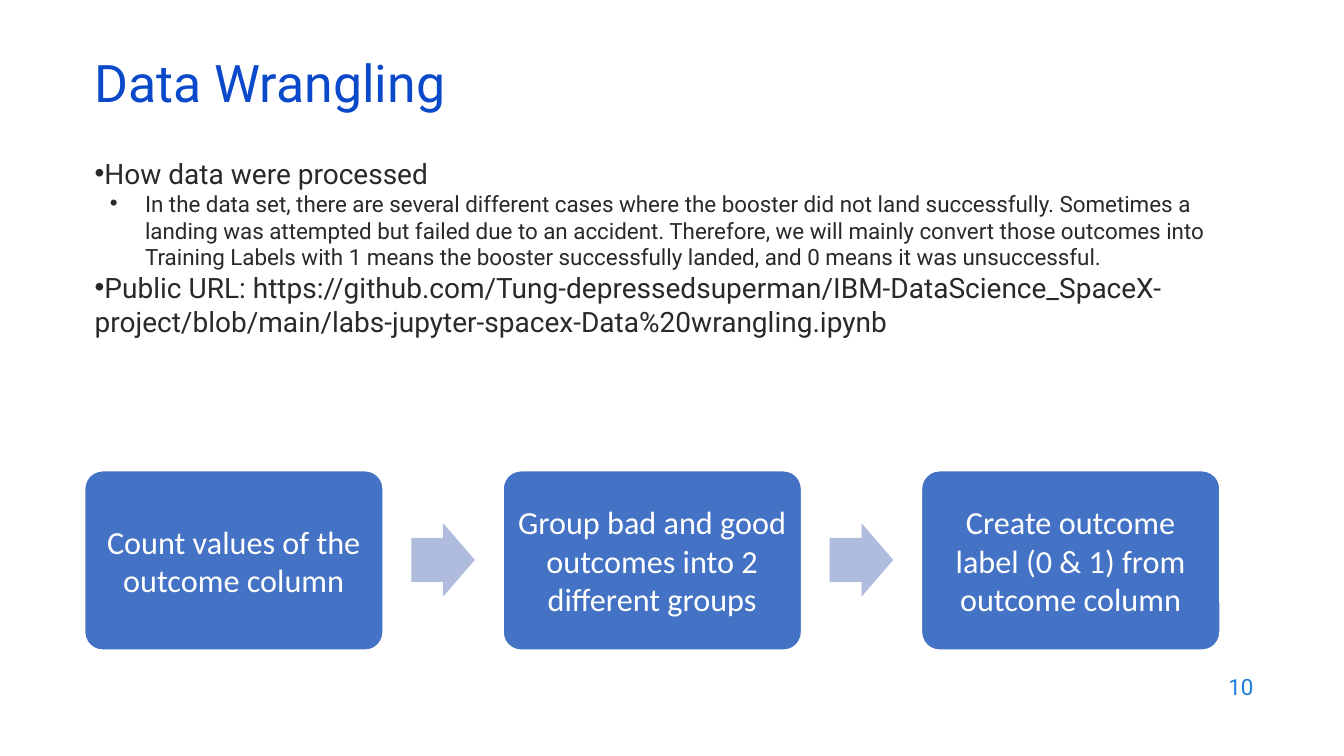
from lxml import etree
from pptx import Presentation
from pptx import util as u
from pptx.dml.color import RGBColor
from pptx.enum import shapes, text
from pptx.oxml.ns import qn

BLUE, INK, WHITE = "4472C4", "292929", "FFFFFF"
STEPS = [
    "Count values of the outcome column",
    "Group bad and good outcomes into 2 different groups",
    "Create outcome label (0 & 1) from outcome column",
]
BULLETS = [
    ("How data were processed", 20, 0, 0),
    ("In the data set, there are several different cases where the booster did not land "
     "successfully. Sometimes a landing was attempted but failed due to an accident. "
     "Therefore, we will mainly convert those outcomes into Training Labels with 1 means "
     "the booster successfully landed, and 0 means it was unsuccessful.", 16, 0.5, -0.35),
    ("Public URL: https://github.com/Tung-depressedsuperman/IBM-DataScience_SpaceX-project"
     "/blob/main/labs-jupyter-spacex-Data%20wrangling.ipynb", 20, 0, 0),
]


def color(value):
    """Turn a hex string into a colour."""
    return RGBColor.from_string(value)


def add_run(paragraph, words, size, font, fill):
    """Add one styled run to a paragraph."""
    run = paragraph.add_run()
    run.text = words
    run.font.size = u.Pt(size)
    run.font.name = font
    run.font.color.rgb = color(fill)


def add_box(slide, left, top, width, height, anchor):
    """Add a wrapping text box and return its text frame."""
    box = slide.shapes.add_textbox(*map(u.Inches, (left, top, width, height)))
    frame = box.text_frame
    frame.word_wrap = True
    frame.vertical_anchor = anchor
    return frame


def add_bullets(frame, bullets):
    """Fill a text frame with bulleted paragraphs."""
    for index, (words, size, margin, indent) in enumerate(bullets):
        paragraph = frame.add_paragraph() if index else frame.paragraphs[0]
        properties = paragraph._p.get_or_add_pPr()
        properties.set("marL", str(u.Inches(margin)))
        properties.set("indent", str(u.Inches(indent)))
        etree.SubElement(properties, qn("a:buFont"), typeface="Arial")
        etree.SubElement(properties, qn("a:buChar"), char="•")
        add_run(paragraph, words, size, "Roboto", INK)


def add_shape(slide, kind, left, top, width, height, fill, adjustments):
    """Add a filled preset shape without a shadow or an outline."""
    shape = slide.shapes.add_shape(kind, *map(u.Inches, (left, top, width, height)))
    shape.shadow.inherit = False
    shape.fill.solid()
    shape.fill.fore_color.rgb = color(fill)
    shape.line.fill.background()
    for index, value in enumerate(adjustments):
        shape.adjustments[index] = value
    return shape


def add_step(slide, left, words):
    """Add one rounded process step with centred text."""
    shape = add_shape(slide, shapes.MSO_SHAPE.ROUNDED_RECTANGLE,
                      left, 4.67, 2.96, 1.78, BLUE, [0.1])
    shape.line.color.rgb = color(WHITE)
    shape.line.width = u.Pt(1)
    frame = shape.text_frame
    frame.word_wrap = True
    frame.vertical_anchor = text.MSO_ANCHOR.MIDDLE
    frame.margin_left = frame.margin_right = u.Inches(0.05)
    paragraph = frame.paragraphs[0]
    paragraph.alignment = text.PP_ALIGN.CENTER
    add_run(paragraph, words, 23, "Calibri", WHITE)


def add_process(slide, steps):
    """Lay out the steps in a row with arrows between them."""
    for index, words in enumerate(steps):
        left = 0.84 + 4.15 * index
        if index:
            add_shape(slide, shapes.MSO_SHAPE.RIGHT_ARROW,
                      left - 0.91, 5.19, 0.63, 0.73, "B0BCDE", [0.6, 0.5])
        add_step(slide, left, words)


def main():
    """Build the slide and save it."""
    presentation = Presentation()
    presentation.slide_width = u.Inches(13.33)
    presentation.slide_height = u.Inches(7.5)
    slide = presentation.slides.add_slide(presentation.slide_layouts[6])

    title = add_box(slide, 0.84, 0.59, 11.5, 0.6, text.MSO_ANCHOR.MIDDLE).paragraphs[0]
    title.line_spacing = 0.7
    add_run(title, "Data Wrangling", 37, "Roboto", "0B49CB")

    add_bullets(add_box(slide, 0.84, 1.5, 11.69, 2.68, text.MSO_ANCHOR.TOP), BULLETS)
    add_process(slide, STEPS)

    number = add_box(slide, 9.53, 6.59, 3, 0.44, text.MSO_ANCHOR.MIDDLE).paragraphs[0]
    number.alignment = text.PP_ALIGN.RIGHT
    add_run(number, "10", 16, "Roboto", "1C7DDB")

    presentation.save("out.pptx")


if __name__ == "__main__":
    main()
